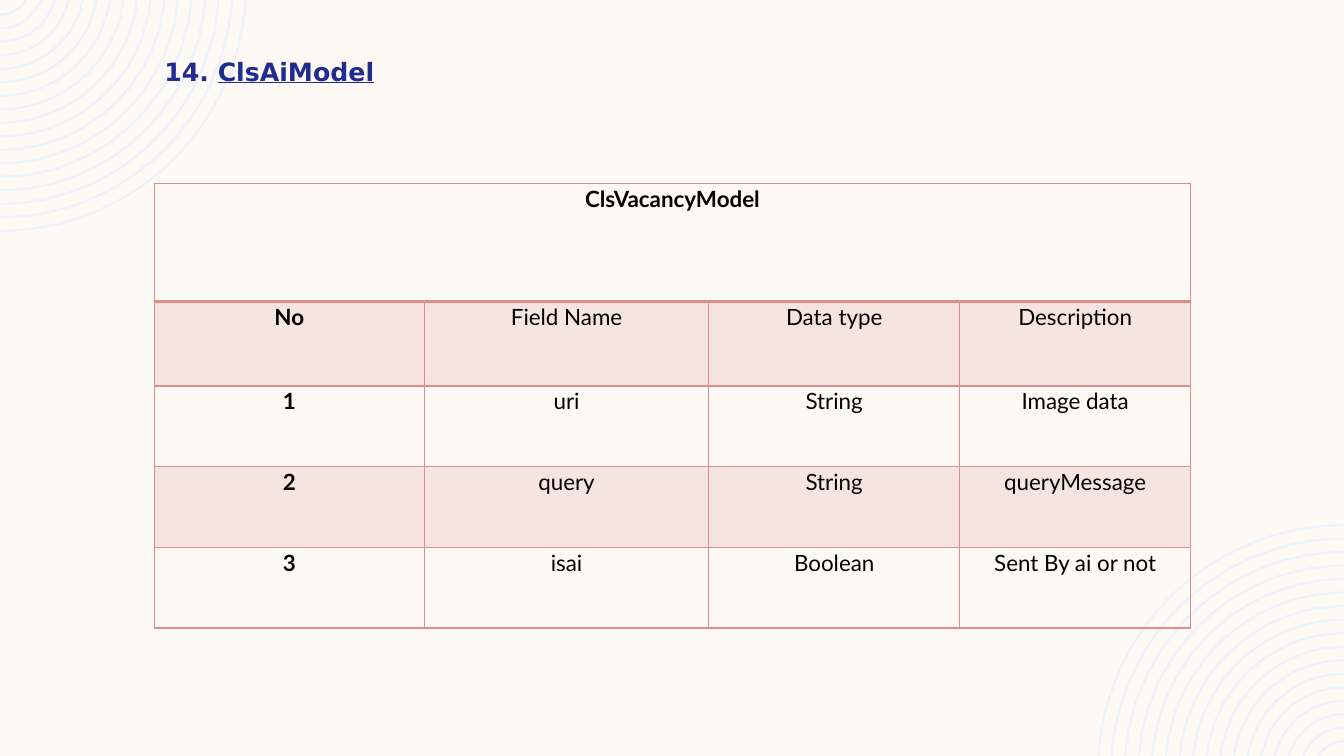
from math import asin, cos, degrees

from pptx import Presentation
from pptx.dml.color import RGBColor
from pptx.enum.text import MSO_ANCHOR as ANCHOR, MSO_AUTO_SIZE as AUTO, PP_ALIGN as ALIGN
from pptx.oxml import parse_xml
from pptx.oxml.ns import nsdecls, qn
from pptx.util import Inches, Pt

CREAM = RGBColor(0xFD, 0xFA, 0xF6)
PALE_BLUE = RGBColor(0xEE, 0xF3, 0xFA)
NAVY = RGBColor(0x20, 0x2C, 0x8F)
ROSE = RGBColor(0xDE, 0x8C, 0x8C)
BLACK = RGBColor(0, 0, 0)

W, H = 13.33, 7.5
LEFT = 1.53
RING_OFFSET = 0.15  # centre lies just beyond the slide edge
RING_RADII = [2.44 - 0.134 * n for n in range(17)]

COLS = [2.68, 2.82, 2.49, 2.29]
ROWS = [1.17, 0.84, 0.8, 0.8, 0.8]
CELLS = [
    ["ClsVacancyModel"],
    ["No", "Field Name", "Data type", "Description"],
    ["1", "uri", "String", "Image data"],
    ["2", "query", "String", "queryMessage"],
    ["3", "isai", "Boolean", "Sent By ai or not"],
]


def add_text(p, text, font="Lato", size=16, color=BLACK, bold=False,
             underline=False, align=ALIGN.CENTER):
    p.alignment = align
    p.line_spacing = 1.07
    p.space_before, p.space_after = Pt(0), Pt(8)
    r = p.add_run()
    r.text = text
    f = r.font
    f.name, f.size, f.bold, f.underline = font, Pt(size), bold, underline
    f.color.rgb = color


prs = Presentation()
prs.slide_width, prs.slide_height = Inches(W), Inches(H)
s = prs.slides.add_slide(prs.slide_layouts[5])
s.background.fill.solid()
s.background.fill.fore_color.rgb = CREAM

# Rings in the top left corner, and turned by half a circle in the bottom right
for corner_x, corner_y, sign, turn in ((0, 0, 1, 0), (W, H, -1, 180)):
    builder = None
    for radius in RING_RADII:
        x = radius * cos(asin(RING_OFFSET / radius))
        start = Inches(corner_x + sign * x), Inches(corner_y)
        end = Inches(corner_x), Inches(corner_y + sign * (radius - RING_OFFSET))
        if builder is None:
            builder = s.shapes.build_freeform(*start)
        else:
            builder.move_to(*start)
        builder.add_line_segments([end], close=False)
    sp = builder.convert_to_shape()
    sp.shadow.inherit = False
    sp.fill.background()
    sp.line.color.rgb = PALE_BLUE
    sp.line.width = Pt(1.8)
    # Bend each straight segment into an arc
    for radius, segment in zip(RING_RADII, list(sp._element.iter(qn("a:lnTo")))):
        first = degrees(asin(RING_OFFSET / radius))
        segment.getparent().replace(segment, parse_xml(
            f'<a:arcTo {nsdecls("a")} wR="{Inches(radius)}" hR="{Inches(radius)}" '
            f'stAng="{round((first + turn) * 60000)}" '
            f'swAng="{round((90 - first) * 60000)}"/>'))

# Title, in front of the rings
title = s.shapes.title
s.shapes._spTree.append(title._element)
title.left, title.top, title.width, title.height = map(Inches, (LEFT, 0.49, 6.67, 0.41))
tf = title.text_frame
tf.word_wrap, tf.auto_size, tf.vertical_anchor = True, AUTO.SHAPE_TO_FIT_TEXT, ANCHOR.TOP
for text, underline in (("14. ", False), ("ClsAiModel", True)):
    add_text(tf.paragraphs[0], text, font="DejaVu Sans", size=18, color=NAVY,
             bold=True, underline=underline, align=ALIGN.LEFT)

# Table of fields
table = s.shapes.add_table(len(ROWS), len(COLS), Inches(LEFT), Inches(1.82),
                           Inches(sum(COLS)), Inches(sum(ROWS))).table
table.first_row = table.horz_banding = False
for col, width in zip(table.columns, COLS):
    col.width = Inches(width)
for row, height in zip(table.rows, ROWS):
    row.height = Inches(height)
table.cell(0, 0).merge(table.cell(0, len(COLS) - 1))

for i, row in enumerate(table.rows):
    for j, cell in enumerate(row.cells):
        cell.margin_left = cell.margin_right = Inches(0.07)
        cell.margin_top = cell.margin_bottom = 0
        cell.vertical_anchor = ANCHOR.TOP
        tcPr = cell._tc.get_or_add_tcPr()
        for side in "LRTB":
            thick = (i, side) in ((0, "B"), (1, "T"))
            tcPr.append(parse_xml(
                f'<a:ln{side} {nsdecls("a")} w="{Pt(2 if thick else 1)}"><a:solidFill>'
                f'<a:srgbClr val="{ROSE}"/></a:solidFill></a:ln{side}>'))
        if i % 2:
            cell.fill.solid()
            cell.fill.fore_color.rgb = ROSE
            color = tcPr.find(qn("a:solidFill")).find(qn("a:srgbClr"))
            color.append(parse_xml(f'<a:alpha {nsdecls("a")} val="20000"/>'))
        else:
            cell.fill.background()
        if j < len(CELLS[i]):
            add_text(cell.text_frame.paragraphs[0], CELLS[i][j], bold=j == 0)

prs.save("out.pptx")
